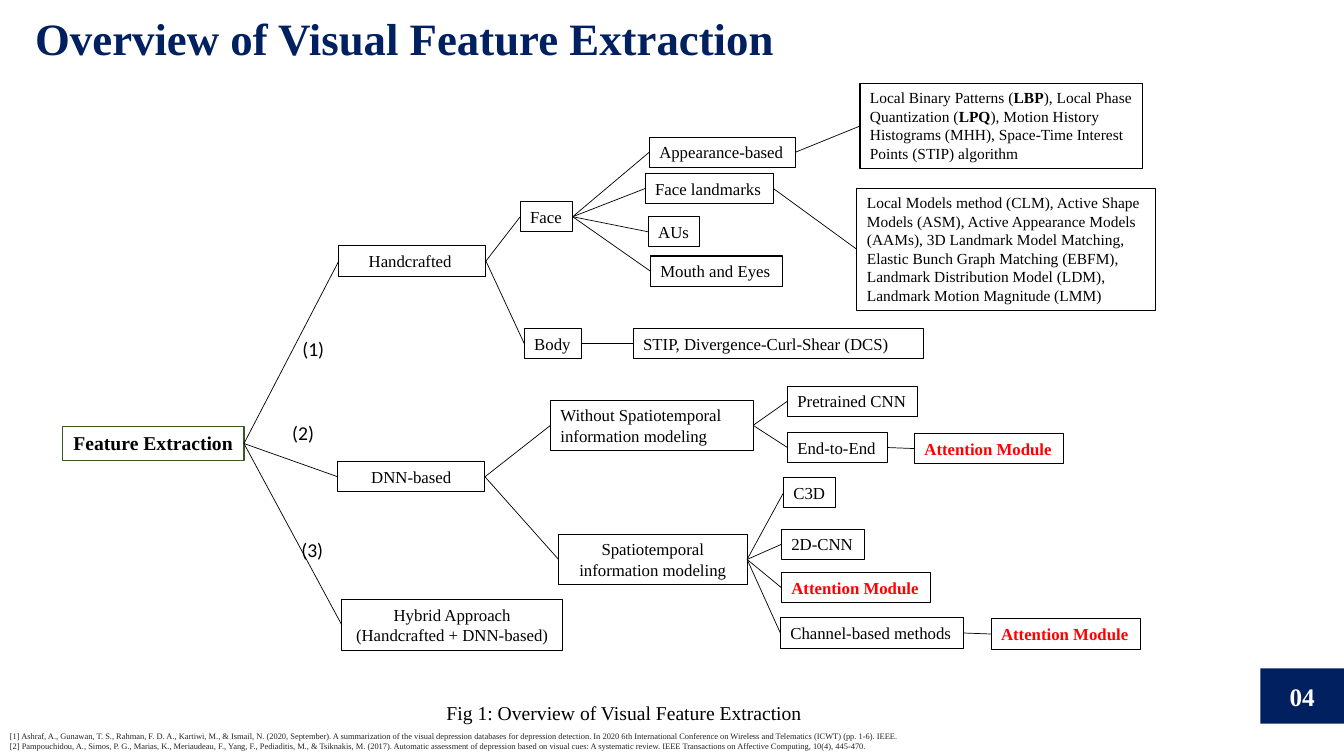
import pptx
import pptx.util
import pptx.dml.color
import pptx.enum.shapes
import pptx.enum.text
import lxml.etree

Inches = pptx.util.Inches
Pt = pptx.util.Pt
RGB = pptx.dml.color.RGBColor
Kind = pptx.enum.shapes.MSO_SHAPE
Join = pptx.enum.shapes.MSO_CONNECTOR
Align = pptx.enum.text.PP_ALIGN
Anchor = pptx.enum.text.MSO_ANCHOR
Fit = pptx.enum.text.MSO_AUTO_SIZE

NAVY = RGB(0x00, 0x20, 0x60)
GREEN = RGB(0x38, 0x57, 0x23)
BLACK = RGB(0, 0, 0)
RED = RGB(0xFF, 0, 0)
GRAY = RGB(0x22, 0x22, 0x22)
WHITE = RGB(0xFF, 0xFF, 0xFF)
SERIF = "Times New Roman"
ROW, PAIR = 0.3, 0.5

TITLE = "Overview of Visual Feature Extraction"
FIGURE = "Fig 1: Overview of Visual Feature Extraction"
PAGE = "04"
CITES = [
    "[1] Ashraf, A., Gunawan, T. S., Rahman, F. D. A., Kartiwi, M., & Ismail, N. (2020, September). "
    "A summarization of the visual depression databases for depression detection. "
    "In 2020 6th International Conference on Wireless and Telematics (ICWT) (pp. 1-6). IEEE.",
    "[2] Pampouchidou, A., Simos, P. G., Marias, K., Meriaudeau, F., Yang, F., Pediaditis, M., "
    "& Tsiknakis, M. (2017). Automatic assessment of depression based on visual cues: "
    "A systematic review. IEEE Transactions on Affective Computing, 10(4), 445-470.",
]
PATTERNS = [
    ("Local Binary Patterns (", False), ("LBP", True),
    ("), Local Phase Quantization (", False), ("LPQ", True),
    ("), Motion History Histograms (MHH), Space-Time Interest Points (STIP) algorithm", False),
]
MODELS = (
    "Local Models method (CLM), Active Shape Models (ASM), Active Appearance Models (AAMs), "
    "3D Landmark Model Matching, Elastic Bunch Graph Matching (EBFM), "
    "Landmark Distribution Model (LDM), Landmark Motion Magnitude (LMM)"
)

ROOT = {"size": 14, "bold": True, "align": Align.CENTER, "edge": GREEN, "weight": 1}
MID = {"align": Align.CENTER}
TAG = {"wrap": False}
HOT = {"wrap": False, "color": RED, "bold": True}
NOTE = {"size": 11}

NODES = [
    ("root", None, ["Feature Extraction"], (0.62, 4.23, 1.8, 0.34), ROOT),
    ("hand", "root", ["Handcrafted "], (3.36, 2.44, 1.46, ROW), MID),
    ("deep", "root", ["DNN-based"], (3.35, 4.58, 1.46, ROW), MID),
    ("hybrid", "root", ["Hybrid Approach", "(Handcrafted + DNN-based)"],
     (3.39, 5.95, 2.19, PAIR), MID),
    ("face", "hand", ["Face"], (5.16, 2, 0.52, ROW), TAG),
    ("body", "hand", ["Body"], (5.2, 3.26, 0.57, ROW), TAG),
    ("look", "face", ["Appearance-based"], (6.44, 1.36, 1.45, ROW), TAG),
    ("marks", "face", ["Face landmarks"], (6.4, 1.72, 1.27, ROW), TAG),
    ("units", "face", ["AUs"], (6.43, 2.15, 0.51, ROW), TAG),
    ("mouth", "face", ["Mouth and Eyes"], (6.45, 2.54, 1.31, ROW), TAG),
    ("patterns", "look", [PATTERNS], (8.53, 0.83, 2.8, 0.84), NOTE),
    ("models", "marks", [MODELS], (8.5, 1.87, 2.96, 1.21), NOTE),
    ("shear", "body", ["STIP, Divergence-Curl-Shear (DCS)"], (6.28, 3.26, 2.88, ROW), {}),
    ("still", "deep", ["Without Spatiotemporal information modeling"],
     (5.46, 3.97, 2.01, PAIR), {}),
    ("motion", "deep", ["Spatiotemporal information modeling"], (5.54, 5.3, 1.87, PAIR), MID),
    ("trained", "still", ["Pretrained CNN"], (7.81, 3.83, 1.29, ROW), TAG),
    ("direct", "still", ["End-to-End"], (7.81, 4.29, 0.99, ROW), TAG),
    ("focus", "direct", ["Attention Module"], (9.07, 4.3, 1.48, ROW), HOT),
    ("cube", "motion", ["C3D"], (7.77, 4.74, 0.52, ROW), TAG),
    ("flat", "motion", ["2D-CNN"], (7.75, 5.25, 0.82, ROW), TAG),
    ("heed", "motion", ["Attention Module"], (7.75, 5.68, 1.48, ROW), HOT),
    ("channel", "motion", ["Channel-based methods"], (7.74, 6.13, 1.82, ROW), TAG),
    ("gaze", "channel", ["Attention Module"], (9.83, 6.14, 1.48, ROW), HOT),
]

SIGN = {"size": 14, "font": "Calibri", "wrap": False}
LABELS = [
    ([TITLE], (0.25, 0.12, 12.8, 0.45),
     {"size": 32, "bold": True, "color": NAVY, "space": 0.9, "fit": Fit.NONE}),
    (["(1)"], (2.9, 3.29, 0.42, 0.34), SIGN),
    (["(2)"], (2.8, 4.13, 0.42, 0.34), SIGN),
    (["(3)"], (2.89, 5.29, 0.42, 0.34), SIGN),
    ([FIGURE], (4.33, 6.9, 3.75, 0.34), {"size": 14, "wrap": False}),
    (CITES, (0, 7.2, 12.56, 0.3), {"size": 6, "color": GRAY, "fit": Fit.NONE}),
]


def write(shape, lines, look):
    frame = shape.text_frame
    setup = {
        "word_wrap": look.get("wrap", True),
        "auto_size": look.get("fit", Fit.SHAPE_TO_FIT_TEXT),
        "vertical_anchor": look.get("anchor", Anchor.TOP),
    }
    for name, value in setup.items():
        setattr(frame, name, value)
    for at, line in enumerate(lines):
        para = frame.add_paragraph() if at else frame.paragraphs[0]
        para.alignment = look.get("align", Align.LEFT)
        para.line_spacing = look.get("space", 1.0)
        parts = [(line, look.get("bold", False))] if isinstance(line, str) else line
        for text, bold in parts:
            run = para.add_run()
            run.text = text
            style = {"name": look.get("font", SERIF), "size": Pt(look.get("size", 12)), "bold": bold}
            for name, value in style.items():
                setattr(run.font, name, value)
            run.font.color.rgb = look.get("color", BLACK)


def panel(slide, box):
    shape = slide.shapes.add_shape(Kind.RECTANGLE, *map(Inches, box))
    shape.shadow.inherit = False
    return shape


def node(slide, lines, box, look):
    shape = panel(slide, box)
    shape.fill.background()
    shape.line.color.rgb = look.get("edge", BLACK)
    shape.line.width = Pt(look.get("weight", 0.75))
    write(shape, lines, look)
    return shape


def link(slide, start, end):
    line = slide.shapes.add_connector(Join.STRAIGHT, 0, 0, 0, 0)
    line.begin_connect(start, 3)
    line.end_connect(end, 1)
    line.line.color.rgb = BLACK
    line.line.width = Pt(0.5)
    props = line._element.spPr
    lxml.etree.SubElement(props, pptx.oxml.ns.qn("a:effectLst"))


def main():
    deck = pptx.Presentation()
    deck.slide_width = Inches(13.33)
    deck.slide_height = Inches(7.5)
    slide = deck.slides.add_slide(deck.slide_layouts[6])

    made = {}
    for key, parent, lines, box, look in NODES:
        made[key] = node(slide, lines, box, look)
        if parent:
            link(slide, made[parent], made[key])

    for lines, box, look in LABELS:
        write(slide.shapes.add_textbox(*map(Inches, box)), lines, look)

    badge = panel(slide, (12.5, 6.63, 0.83, 0.55))
    badge.fill.solid()
    badge.fill.fore_color.rgb = NAVY
    badge.line.fill.background()
    write(badge, [PAGE], {"size": 18, "bold": True, "color": WHITE, "align": Align.CENTER,
                          "anchor": Anchor.MIDDLE, "fit": Fit.NONE})
    deck.save("out.pptx")


if __name__ == "__main__":
    main()
